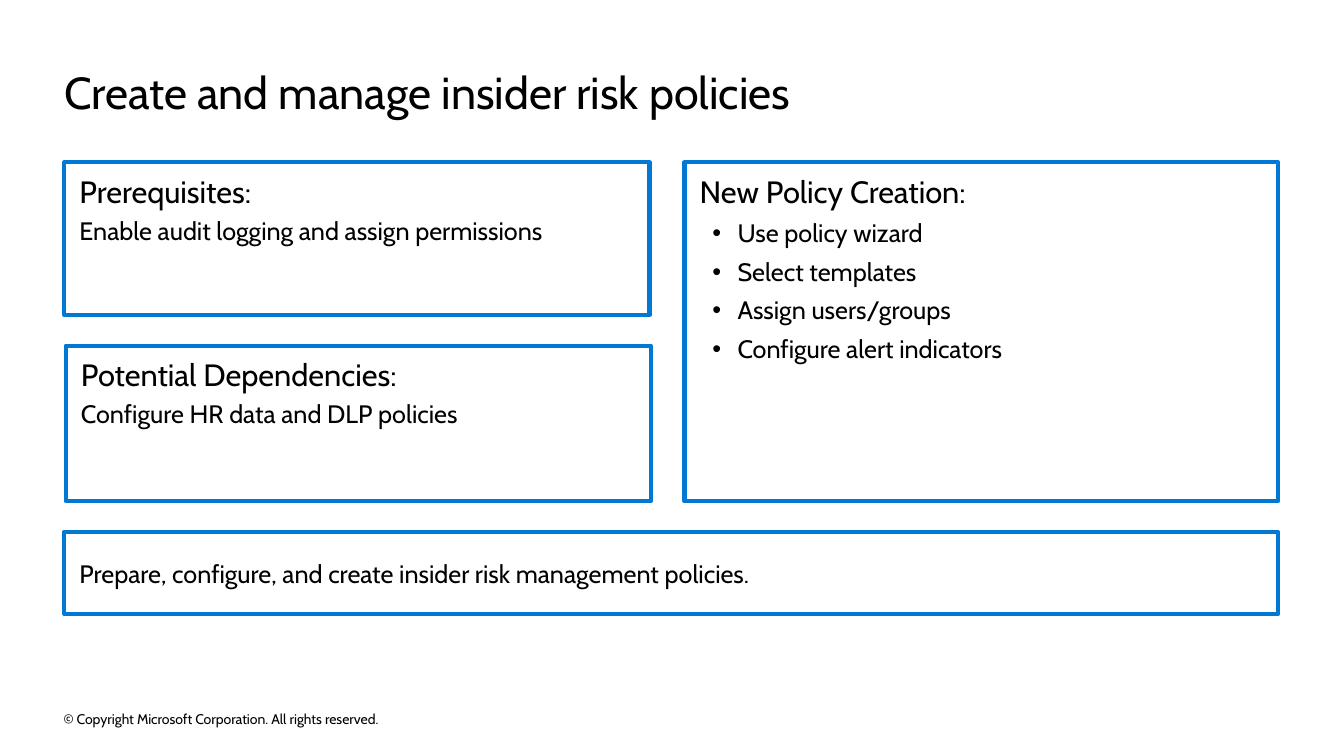
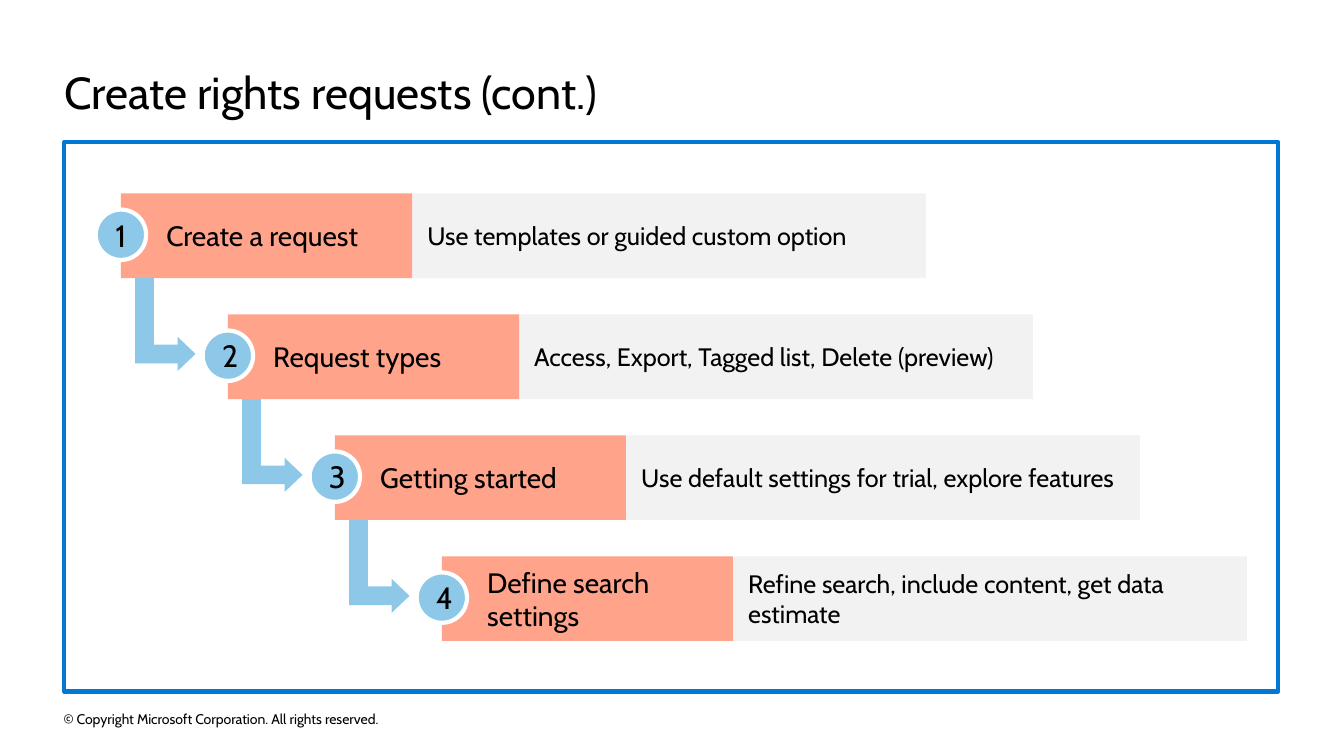
import pptx
import pptx.util
import pptx.dml.color
import pptx.enum.shapes
import pptx.enum.text
import pptx.oxml.ns
from lxml import etree

Pt = pptx.util.Pt
RGBColor = pptx.dml.color.RGBColor
MSO_SHAPE = pptx.enum.shapes.MSO_SHAPE
MSO_ANCHOR = pptx.enum.text.MSO_ANCHOR
PP_ALIGN = pptx.enum.text.PP_ALIGN
qn = pptx.oxml.ns.qn

BLACK = RGBColor(0x00, 0x00, 0x00)
WHITE = RGBColor(0xFF, 0xFF, 0xFF)
FRAME_BLUE = RGBColor(0x00, 0x78, 0xD4)
SKY = RGBColor(0x8D, 0xC8, 0xE8)
CORAL = RGBColor(0xFF, 0xA3, 0x8B)
PALE_GREY = RGBColor(0xF2, 0xF2, 0xF2)

FONT = "Cabin"
LEFT, WIDTH = 46, 867
HEADING, BODY = 22, 18
INSETS = (10.8, 7.2, 10.8, 7.2)
FOOTER = "© Copyright Microsoft Corporation. All rights reserved."


class Deck:
    def __init__(self):
        self.prs = pptx.Presentation()
        self.prs.slide_width = Pt(960)
        self.prs.slide_height = Pt(540)
        self.s = None

    def slide(self, title):
        """Start a slide with its title and the shared footer."""
        self.s = self.prs.slides.add_slide(self.prs.slide_layouts[5])
        sp = self.s.shapes.title
        sp.left, sp.top, sp.width, sp.height = Pt(LEFT), Pt(46), Pt(WIDTH), Pt(39)
        self.frame(sp, MSO_ANCHOR.TOP, (0, 0, 0, 0))
        self.text(sp, title, 32)
        sp = self.s.shapes.add_textbox(Pt(45.4), Pt(505.4), Pt(327), Pt(16))
        self.frame(sp, MSO_ANCHOR.MIDDLE, (0, 0, 0, 0))
        self.text(sp, FOOTER, 10)

    def frame(self, sp, anchor, insets):
        tf = sp.text_frame
        tf.word_wrap = True
        tf.auto_size = pptx.enum.text.MSO_AUTO_SIZE.NONE
        tf.vertical_anchor = anchor
        (tf.margin_left, tf.margin_top,
         tf.margin_right, tf.margin_bottom) = [Pt(v) for v in insets]

    def text(self, sp, text, size, align=PP_ALIGN.LEFT, before=0, after=0, bullet=False):
        """Fill the empty first paragraph of a shape, or add another one."""
        tf = sp.text_frame
        p = tf.paragraphs[0]
        if p.runs:
            p = tf.add_paragraph()
        if bullet:
            pPr = p._p.get_or_add_pPr()
            pPr.set("marL", str(Pt(27)))
            pPr.set("indent", str(Pt(-18)))
            etree.SubElement(pPr, qn("a:buFont")).set("typeface", "Arial")
            etree.SubElement(pPr, qn("a:buChar")).set("char", "•")
        p.alignment = align
        p.space_before, p.space_after = Pt(before), Pt(after)
        r = p.add_run()
        r.text = text
        r.font.name = FONT
        r.font.size = Pt(size)
        r.font.color.rgb = BLACK

    def shape(self, kind, x, y, w, h, fill=None, line=None, parent=None,
              anchor=MSO_ANCHOR.MIDDLE, insets=INSETS):
        shapes = (parent or self.s).shapes
        sp = shapes.add_shape(kind, Pt(x), Pt(y), Pt(w), Pt(h))
        sp.shadow.inherit = False
        if fill is None:
            sp.fill.background()
        else:
            sp.fill.solid()
            sp.fill.fore_color.rgb = fill
        if line is None:
            sp.line.fill.background()
        else:
            sp.line.color.rgb = line
            sp.line.width = Pt(3)
        self.frame(sp, anchor, insets)
        return sp

    def panel(self, x, y, w, h, anchor=MSO_ANCHOR.TOP):
        return self.shape(MSO_SHAPE.RECTANGLE, x, y, w, h, line=FRAME_BLUE, anchor=anchor)

    def step(self, number, x, y, name, detail):
        """Group a numbered name box with its detail box."""
        grp = self.s.shapes.add_group_shape()
        sp = self.shape(MSO_SHAPE.RECTANGLE, x + 208, y, 367, 60.5, PALE_GREY, parent=grp)
        self.text(sp, detail, BODY)
        sp = self.shape(MSO_SHAPE.RECTANGLE, x, y, 208, 60.5, CORAL, parent=grp,
                        insets=(32.4, 7.2, 10.8, 7.2))
        self.text(sp, name, 20)
        sp = self.shape(MSO_SHAPE.OVAL, x - 18, y + 11.5, 36, 36, SKY, WHITE, grp,
                        insets=(8.6, 5.8, 8.6, 5.8))
        self.text(sp, str(number), HEADING, PP_ALIGN.CENTER)

    def step_arrow(self, x, y):
        sp = self.shape(MSO_SHAPE.BENT_UP_ARROW, x, y, 66.2, 43.2, SKY)
        sp.rotation = 90
        for i, value in enumerate((0.31, 0.28, 0.295)):
            sp.adjustments[i] = value


def policies_slide(deck):
    deck.slide("Create and manage insider risk policies")
    for x, y, h, heading, body in (
        (LEFT, 116, 109, "Prerequisites:", "Enable audit logging and assign permissions"),
        (47, 247, 111, "Potential Dependencies:", "Configure HR data and DLP policies"),
    ):
        sp = deck.panel(x, y, 418, h)
        deck.text(sp, heading, HEADING)
        deck.text(sp, body, BODY, before=3.9)

    sp = deck.panel(489, 116, 424, 242)
    deck.text(sp, "New Policy Creation:", HEADING, after=5.9)
    for item in ("Use policy wizard", "Select templates",
                 "Assign users/groups", "Configure alert indicators"):
        deck.text(sp, item, BODY, after=5.9, bullet=True)

    sp = deck.panel(LEFT, 380, WIDTH, 58.5, MSO_ANCHOR.MIDDLE)
    deck.text(sp, "Prepare, configure, and create insider risk management policies.", BODY)


def requests_slide(deck):
    deck.slide("Create rights requests (cont.)")
    deck.panel(LEFT, 101.5, WIDTH, 392.5)
    steps = (
        ("Create a request", "Use templates or guided custom option"),
        ("Request types", "Access, Export, Tagged list, Delete (preview)"),
        ("Getting started", "Use default settings for trial, explore features"),
        ("Define search settings", "Refine search, include content, get data estimate"),
    )
    for i, (name, detail) in enumerate(steps):
        x, y = 86.4 + 76.4 * i, 138.2 + 86.4 * i
        deck.step(i + 1, x, y, name, detail)
        if i < len(steps) - 1:
            deck.step_arrow(x - 1.4, y + 72)


def main():
    deck = Deck()
    policies_slide(deck)
    requests_slide(deck)
    deck.prs.save("out.pptx")


if __name__ == "__main__":
    main()
